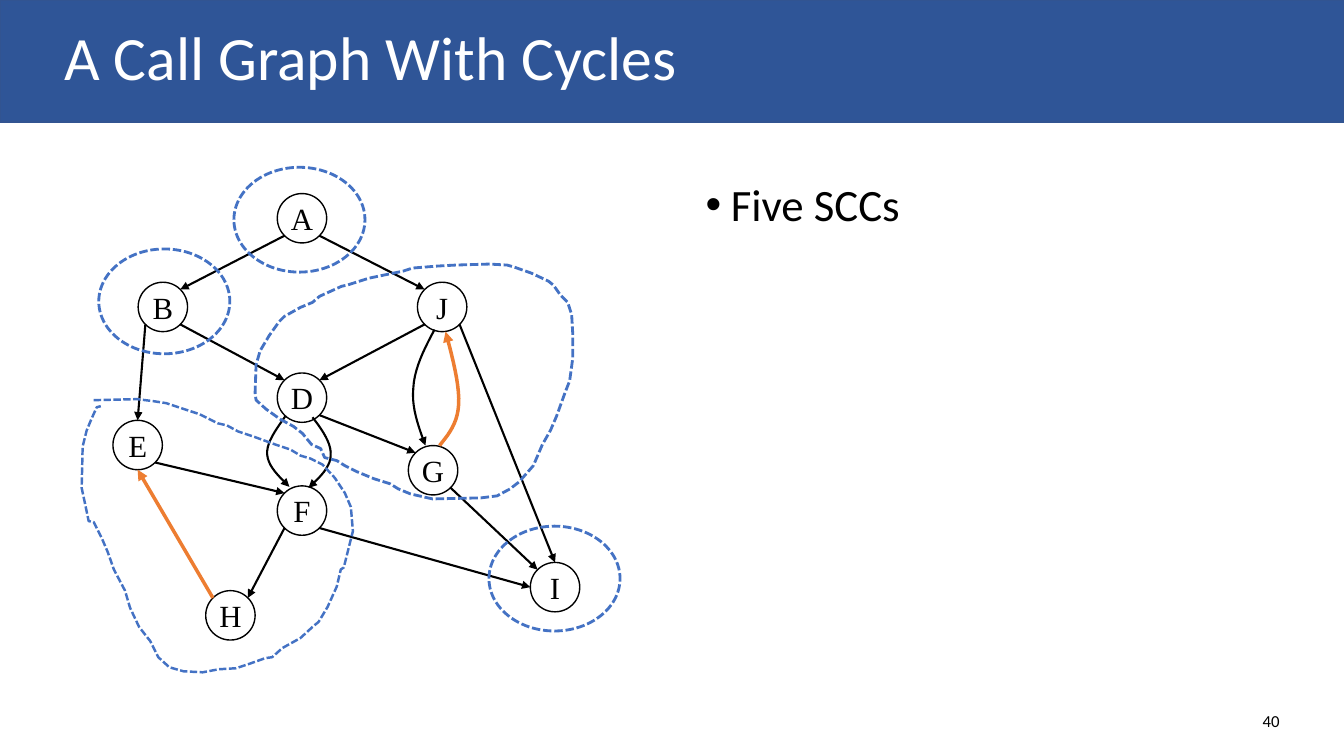
import math
from dataclasses import dataclass

import lxml.etree
import pptx
import pptx.dml.color
import pptx.dml.line
import pptx.enum.dml
import pptx.enum.shapes
import pptx.enum.text
import pptx.oxml.ns
import pptx.shapes.autoshape
import pptx.shapes.shapetree
import pptx.util

Inches = pptx.util.Inches
Pt = pptx.util.Pt
RGBColor = pptx.dml.color.RGBColor
PP_ALIGN = pptx.enum.text.PP_ALIGN
ANCHOR = pptx.enum.text.MSO_ANCHOR
SHAPE = pptx.enum.shapes.MSO_SHAPE
Shapes = pptx.shapes.shapetree.SlideShapes
Line = pptx.dml.line.LineFormat
Point = tuple[float, float]

WHITE = RGBColor(0xFF, 0xFF, 0xFF)
BLACK = RGBColor(0, 0, 0)
BANNER_BLUE = RGBColor(0x2F, 0x55, 0x97)
BANNER_EDGE = RGBColor(0x32, 0x54, 0x91)
SCC_BLUE = RGBColor(0x44, 0x72, 0xC4)
BACK_ORANGE = RGBColor(0xED, 0x7D, 0x31)

NODE_SIZE = 0.49
RING_WIDTH, RING_HEIGHT = 1.3, 1.04
COMPASS = {"e": 0, "se": 45, "s": 90, "sw": 135, "w": 180, "nw": 225, "n": 270, "ne": 315}


@dataclass
class Node:
    left: float
    top: float
    filled: bool = True

    def rim(self, direction: str) -> Point:
        """Point on the circle in a compass direction."""
        angle = math.radians(COMPASS[direction])
        radius = NODE_SIZE / 2
        return (self.left + radius * (1 + math.cos(angle)),
                self.top + radius * (1 + math.sin(angle)))


@dataclass
class Call:
    caller: str
    leaves: str
    callee: str
    enters: str
    back: bool = False


@dataclass
class CurvedCall:
    """Start point followed by control, control, end for each Bezier piece."""
    points: list[Point]
    back: bool = False


@dataclass
class Outline:
    points: list[Point]
    width: float
    closed: bool


NODES = {
    "A": Node(2.75, 1.92), "B": Node(1.37, 2.8, False), "J": Node(4.14, 2.8, False),
    "D": Node(2.75, 3.7), "E": Node(1.12, 4.17, False), "G": Node(4.05, 4.42),
    "F": Node(2.75, 4.82), "I": Node(5.26, 5.58), "H": Node(2.04, 5.86, False),
}
CALLS = [
    Call("A", "sw", "B", "ne"), Call("A", "se", "J", "nw"),
    Call("B", "se", "D", "nw"), Call("J", "sw", "D", "ne"),
    Call("J", "se", "I", "n"), Call("G", "se", "I", "nw"),
    Call("F", "se", "I", "w"), Call("F", "sw", "H", "ne"),
    Call("B", "sw", "E", "n"), Call("D", "se", "G", "nw"),
    Call("E", "se", "F", "nw"), Call("E", "s", "H", "nw", back=True),
]
CURVED_CALLS = [
    CurvedCall([(2.83, 4.13), (2.74, 4.26), (2.64, 4.39), (2.65, 4.51),
                (2.66, 4.63), (2.77, 4.73), (2.87, 4.83)]),
    CurvedCall([(3.1, 4.14), (3.2, 4.27), (3.29, 4.4), (3.28, 4.52),
                (3.28, 4.63), (3.17, 4.74), (3.06, 4.84)]),
    CurvedCall([(4.31, 3.27), (4.21, 3.46), (4.11, 3.65), (4.1, 3.85),
                (4.08, 4.04), (4.15, 4.23), (4.22, 4.42)]),
    CurvedCall([(4.42, 3.29), (4.49, 3.55), (4.56, 3.82), (4.55, 4.01),
                (4.54, 4.2), (4.45, 4.31), (4.36, 4.42)], back=True),
]
SCC_RINGS = [(2.32, 1.66), (0.98, 2.47), (4.85, 5.22)]
SCC_OUTLINES = [
    Outline([
        (0.93, 3.97), (1.36, 3.96), (1.52, 3.98), (1.65, 4), (1.8, 4.05), (1.98, 4.11),
        (2.16, 4.2), (2.25, 4.22), (2.36, 4.28), (2.51, 4.33), (2.73, 4.41), (2.88, 4.46),
        (2.98, 4.52), (3.08, 4.55), (3.2, 4.61), (3.32, 4.74), (3.42, 4.89), (3.48, 5.03),
        (3.5, 5.27), (3.45, 5.47), (3.41, 5.63), (3.38, 5.65), (3.34, 5.82), (3.25, 6.02),
        (3.16, 6.17), (3.1, 6.22), (2.98, 6.33), (2.8, 6.43), (2.7, 6.52), (2.63, 6.53),
        (2.49, 6.58), (2.34, 6.63), (2.17, 6.64), (2.01, 6.67), (1.82, 6.66), (1.68, 6.62),
        (1.57, 6.52), (1.49, 6.36), (1.38, 6.22), (1.29, 6.03), (1.24, 5.86), (1.13, 5.65),
        (1.07, 5.48), (1.01, 5.34), (0.93, 5.18), (0.88, 5.17), (0.84, 4.98), (0.81, 4.84),
        (0.82, 4.43), (0.86, 4.27), (0.91, 4.15), (0.96, 4.04), (1, 4.03),
    ], 1.75, closed=False),
    Outline([
        (4.52, 2.63), (4.34, 2.64), (4.09, 2.66), (4, 2.69), (3.66, 2.76), (3.44, 2.83),
        (3.39, 2.84), (3.17, 2.94), (3.1, 3), (2.98, 3.05), (2.82, 3.14), (2.77, 3.19),
        (2.67, 3.33), (2.58, 3.48), (2.54, 3.62), (2.53, 3.9), (2.54, 3.97), (2.64, 4.06),
        (2.78, 4.16), (2.91, 4.23), (3, 4.3), (3.09, 4.41), (3.18, 4.45), (3.22, 4.54),
        (3.34, 4.57), (3.42, 4.62), (3.54, 4.68), (3.71, 4.75), (3.87, 4.8), (3.95, 4.85),
        (4.07, 4.9), (4.29, 4.95), (4.77, 4.94), (4.93, 4.92), (5.06, 4.85), (5.15, 4.78),
        (5.29, 4.62), (5.38, 4.41), (5.46, 4.27), (5.52, 4.13), (5.61, 3.88), (5.65, 3.78),
        (5.68, 3.56), (5.68, 3.3), (5.67, 3.12), (5.63, 3), (5.56, 2.93), (5.49, 2.83),
        (5.44, 2.79), (5.27, 2.71), (5.1, 2.65), (5.03, 2.63), (4.85, 2.62),
    ], 2, closed=True),
]


def style_line(line: Line, color: RGBColor, width: float, dashed: bool = False) -> None:
    line.color.rgb = color
    line.width = Pt(width)
    if dashed:
        line.dash_style = pptx.enum.dml.MSO_LINE.SQUARE_DOT


def style_call(line: Line, back: bool) -> None:
    """Forward calls point at their end; back calls are orange and point at their start."""
    style_line(line, BACK_ORANGE if back else BLACK, 2.5 if back else 1.5)
    arrow_end = "a:headEnd" if back else "a:tailEnd"
    lxml.etree.SubElement(line._get_or_add_ln(), pptx.oxml.ns.qn(arrow_end), type="triangle")


def add_text(shapes: Shapes, box: tuple[float, float, float, float], text: str, size: int,
             color: RGBColor = BLACK, anchor: ANCHOR = ANCHOR.MIDDLE):
    frame = shapes.add_textbox(*map(Inches, box)).text_frame
    frame.word_wrap = True
    frame.vertical_anchor = anchor
    frame.text = text
    paragraph = frame.paragraphs[0]
    font = paragraph.runs[0].font
    font.name, font.size, font.color.rgb = "Calibri", Pt(size), color
    return paragraph


def add_node(shapes: Shapes, letter: str, node: Node) -> None:
    circle = shapes.add_shape(SHAPE.OVAL, Inches(node.left), Inches(node.top),
                              Inches(NODE_SIZE), Inches(NODE_SIZE))
    circle.shadow.inherit = False
    if node.filled:
        circle.fill.solid()
        circle.fill.fore_color.rgb = WHITE
    else:
        circle.fill.background()
    style_line(circle.line, BLACK, 1)
    frame = circle.text_frame
    frame.margin_left = frame.margin_right = frame.margin_top = frame.margin_bottom = 0
    frame.word_wrap = False
    frame.vertical_anchor = ANCHOR.MIDDLE
    frame.text = letter
    frame.paragraphs[0].alignment = PP_ALIGN.CENTER
    font = frame.paragraphs[0].runs[0].font
    font.name, font.size, font.color.rgb = "Times New Roman", Pt(22), BLACK


def add_call(shapes: Shapes, call: Call) -> None:
    start = NODES[call.caller].rim(call.leaves)
    end = NODES[call.callee].rim(call.enters)
    arrow = shapes.add_connector(pptx.enum.shapes.MSO_CONNECTOR.STRAIGHT,
                                 *map(Inches, start + end))
    lxml.etree.SubElement(arrow._element.spPr, pptx.oxml.ns.qn("a:effectLst"))
    style_call(arrow.line, call.back)


def bezier_points(points: list[Point], steps: int = 10) -> list[Point]:
    """Sample a chain of cubic Bezier pieces."""
    sampled = [points[0]]
    for first in range(0, len(points) - 1, 3):
        piece = points[first:first + 4]
        for step in range(1, steps + 1):
            t = step / steps
            weights = [math.comb(3, i) * t**i * (1 - t)**(3 - i) for i in range(4)]
            sampled.append((sum(w * p[0] for w, p in zip(weights, piece)),
                            sum(w * p[1] for w, p in zip(weights, piece))))
    return sampled


def add_path(shapes: Shapes, points: list[Point], closed: bool) -> pptx.shapes.autoshape.Shape:
    corners = [(Inches(x), Inches(y)) for x, y in points]
    builder = shapes.build_freeform(*corners[0])
    builder.add_line_segments(corners[1:], close=closed)
    path_shape = builder.convert_to_shape()
    path_shape.shadow.inherit = False
    path_shape.fill.background()
    return path_shape


def main() -> None:
    deck = pptx.Presentation()
    deck.slide_width, deck.slide_height = Inches(13.33), Inches(7.5)
    shapes = deck.slides.add_slide(deck.slide_layouts[6]).shapes

    banner = shapes.add_shape(SHAPE.RECTANGLE, 0, 0, deck.slide_width, Inches(1.21))
    banner.shadow.inherit = False
    banner.fill.solid()
    banner.fill.fore_color.rgb = BANNER_BLUE
    style_line(banner.line, BANNER_EDGE, 1)

    title = add_text(shapes, (0.54, 0, 12.25, 1.21), "A Call Graph With Cycles", 44, WHITE)
    title.line_spacing = 0.9
    finding = add_text(shapes, (6.9, 1.76, 5.9, 4.76), "Five SCCs", 32, anchor=ANCHOR.TOP)
    finding.line_spacing = 0.9
    finding.space_before = Pt(10)
    bullet = finding._p.get_or_add_pPr()
    bullet.set("marL", str(Inches(0.25)))
    bullet.set("indent", str(-Inches(0.25)))
    lxml.etree.SubElement(bullet, pptx.oxml.ns.qn("a:buFont"), typeface="Arial")
    lxml.etree.SubElement(bullet, pptx.oxml.ns.qn("a:buChar"), char="•")
    page_number = add_text(shapes, (9.79, 6.95, 3, 0.4), "40", 12)
    page_number.alignment = PP_ALIGN.RIGHT

    for letter, node in NODES.items():
        add_node(shapes, letter, node)
    for call in CALLS:
        add_call(shapes, call)
    for curve in CURVED_CALLS:
        style_call(add_path(shapes, bezier_points(curve.points), False).line, curve.back)
    for left, top in SCC_RINGS:
        ring = shapes.add_shape(SHAPE.OVAL, Inches(left), Inches(top),
                                Inches(RING_WIDTH), Inches(RING_HEIGHT))
        ring.shadow.inherit = False
        ring.fill.background()
        style_line(ring.line, SCC_BLUE, 2, dashed=True)
    for outline in SCC_OUTLINES:
        boundary = add_path(shapes, outline.points, outline.closed)
        style_line(boundary.line, SCC_BLUE, outline.width, dashed=True)

    deck.save("out.pptx")


if __name__ == "__main__":
    main()
